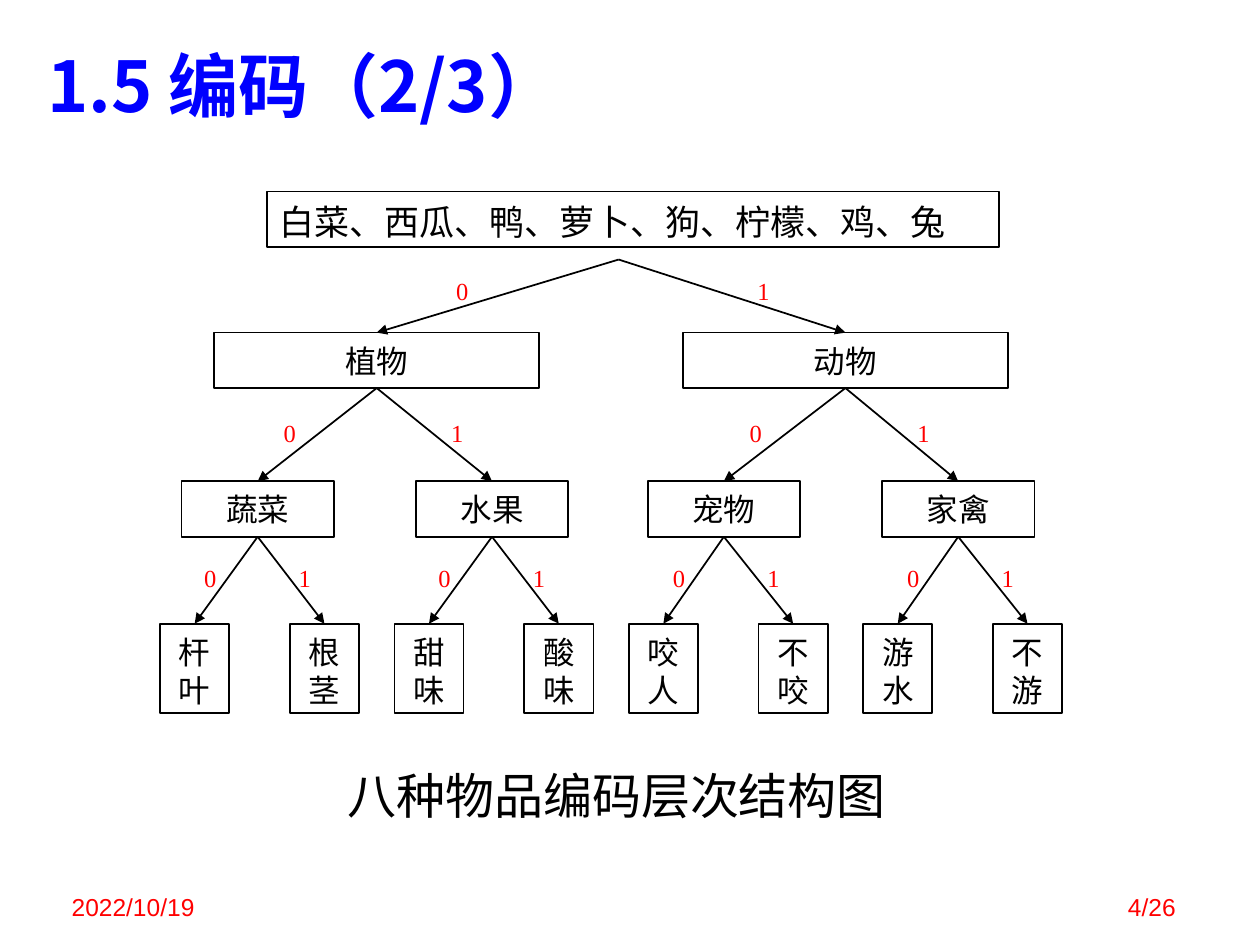
import dataclasses

import pptx
import pptx.dml.color
import pptx.enum.shapes
import pptx.enum.text
import pptx.util
from lxml import etree
from pptx.oxml.ns import qn

Inches = pptx.util.Inches
Pt = pptx.util.Pt
ALIGN = pptx.enum.text.PP_ALIGN
ANCHOR = pptx.enum.text.MSO_ANCHOR


@dataclasses.dataclass(frozen=True)
class Theme:
    cjk: str = "Noto Sans CJK JP"
    serif: str = "Times New Roman"
    sans: str = "Arial"
    ink: str = "000000"
    accent: str = "FF0000"
    heading: str = "0000FF"
    paper: str = "FFFFFF"
    title_size: int = 40
    caption_size: int = 28
    root_size: int = 20
    node_size: int = 18
    small_size: int = 14


@dataclasses.dataclass(frozen=True)
class Level:
    """One tree level: nodes come in pairs, with a 0 and a 1 branch."""
    names: tuple
    left: float
    top: float
    width: float
    height: float
    gap: float          # from the 0 node to the 1 node
    pitch: float        # from one pair to the next
    label_left: float
    label_top: float
    label_gap: float


THEME = Theme()

LEVELS = (
    Level(("植物", "动物"), 1.7, 2.64, 2.58, 0.44, 3.72, 0, 3.55, 2.14, 2.39),
    Level(("蔬菜", "水果", "宠物", "家禽"),
          1.44, 3.82, 1.21, 0.44, 1.86, 3.7, 2.18, 3.27, 1.33),
    Level(("杆叶", "根茎", "甜味", "酸味", "咬人", "不咬", "游水", "不游"),
          1.27, 4.95, 0.55, 0.71, 1.03, 1.86, 1.55, 4.42, 0.75),
)


def rgb(value):
    return pptx.dml.color.RGBColor.from_string(value)


def set_text(s, text, size, color, font, align=ALIGN.LEFT, bold=False):
    """Fill a shape with one formatted paragraph."""
    tf = s.text_frame
    tf.word_wrap = True
    tf.vertical_anchor = ANCHOR.TOP
    tf.text = text
    p = tf.paragraphs[0]
    p.alignment = align
    r = p.runs[0]
    r.font.size = Pt(size)
    r.font.bold = bold
    r.font.name = font
    r.font.color.rgb = rgb(color)
    ea = etree.SubElement(r.font._element, qn("a:ea"))
    ea.set("typeface", THEME.cjk)
    return tf


def tighten(tf, size):
    """Give Chinese text an even line pitch of 1.2 times its size."""
    tf.paragraphs[0].line_spacing = Pt(1.2 * size)
    tf.margin_top = Inches(0.05) + Pt(0.09 * size)
    tf.margin_bottom = 0


def add_text(slide, box, text, size, color, font, **style):
    s = slide.shapes.add_textbox(*map(Inches, box))
    return set_text(s, text, size, color, font, **style)


def add_node(slide, box, text, size, font, align=ALIGN.CENTER, line=1):
    s = slide.shapes.add_shape(
        pptx.enum.shapes.MSO_SHAPE.RECTANGLE, *map(Inches, box))
    s.shadow.inherit = False
    s.fill.background()
    s.line.color.rgb = rgb(THEME.ink)
    s.line.width = Pt(line)
    tighten(set_text(s, text, size, THEME.ink, font, align), size)
    return s


def add_branch(slide, parent, child, start):
    """Arrow to the top of child, from the bottom of parent or from start."""
    c = slide.shapes.add_connector(
        pptx.enum.shapes.MSO_CONNECTOR.STRAIGHT,
        *map(Inches, start), *map(Inches, start))
    if parent is not None:
        c.begin_connect(parent, 2)
    c.end_connect(child, 0)
    c.line.color.rgb = rgb(THEME.ink)
    c.line.width = Pt(1)
    etree.SubElement(c.line._get_or_add_ln(), qn("a:tailEnd"), type="triangle")
    etree.SubElement(c._element.spPr, qn("a:effectLst"))


def add_bit(slide, left, top, bit):
    tf = add_text(slide, (left, top, 0.18, 0.34), str(bit),
                  THEME.small_size, THEME.accent, THEME.serif)
    tf.margin_left = Inches(0.07)
    tf.margin_right = 0


def add_level(slide, level, parents, start):
    nodes = []
    for i, name in enumerate(level.names):
        pair, bit = divmod(i, 2)
        left = level.left + pair * level.pitch + bit * level.gap
        node = add_node(slide, (left, level.top, level.width, level.height),
                        name, THEME.node_size, THEME.cjk)
        add_branch(slide, parents[pair], node, start)
        add_bit(slide,
                level.label_left + pair * level.pitch + bit * level.label_gap,
                level.label_top, bit)
        nodes.append(node)
    return nodes


def add_tree(slide):
    add_node(slide, (2.12, 1.52, 5.81, 0.44),
             "白菜、西瓜、鸭、萝卜、狗、柠檬、鸡、兔",
             THEME.root_size, THEME.serif, ALIGN.LEFT, 0.75)
    # The first two branches start just below the root box
    parents = [None]
    for level in LEVELS:
        parents = add_level(slide, level, parents, (4.91, 2.06))


def add_footer(slide, left, text, align):
    tf = add_text(slide, (left, 6.86, 2.08, 0.5), text, THEME.small_size,
                  THEME.accent, THEME.sans, align=align)
    tf.vertical_anchor = ANCHOR.BOTTOM


def main():
    prs = pptx.Presentation()
    prs.slide_width, prs.slide_height = Inches(10), Inches(7.5)
    slide = prs.slides.add_slide(prs.slide_layouts[6])
    slide.background.fill.solid()
    slide.background.fill.fore_color.rgb = rgb(THEME.paper)

    # Title
    tf = add_text(slide, (0.28, 0.24, 9.5, 0.77), "1.5 编码（2/3）",
                  THEME.title_size, THEME.heading, THEME.cjk, bold=True)
    tighten(tf, THEME.title_size)

    # Coding tree and its caption
    add_tree(slide)
    tf = add_text(slide, (2.66, 5.99, 4.61, 0.57), "八种物品编码层次结构图",
                  THEME.caption_size, THEME.ink, THEME.cjk)
    tighten(tf, THEME.caption_size)

    # Date and page number
    add_footer(slide, 0.47, "2022/10/19", ALIGN.LEFT)
    add_footer(slide, 7.35, "4/26", ALIGN.RIGHT)

    prs.save("out.pptx")


if __name__ == "__main__":
    main()
